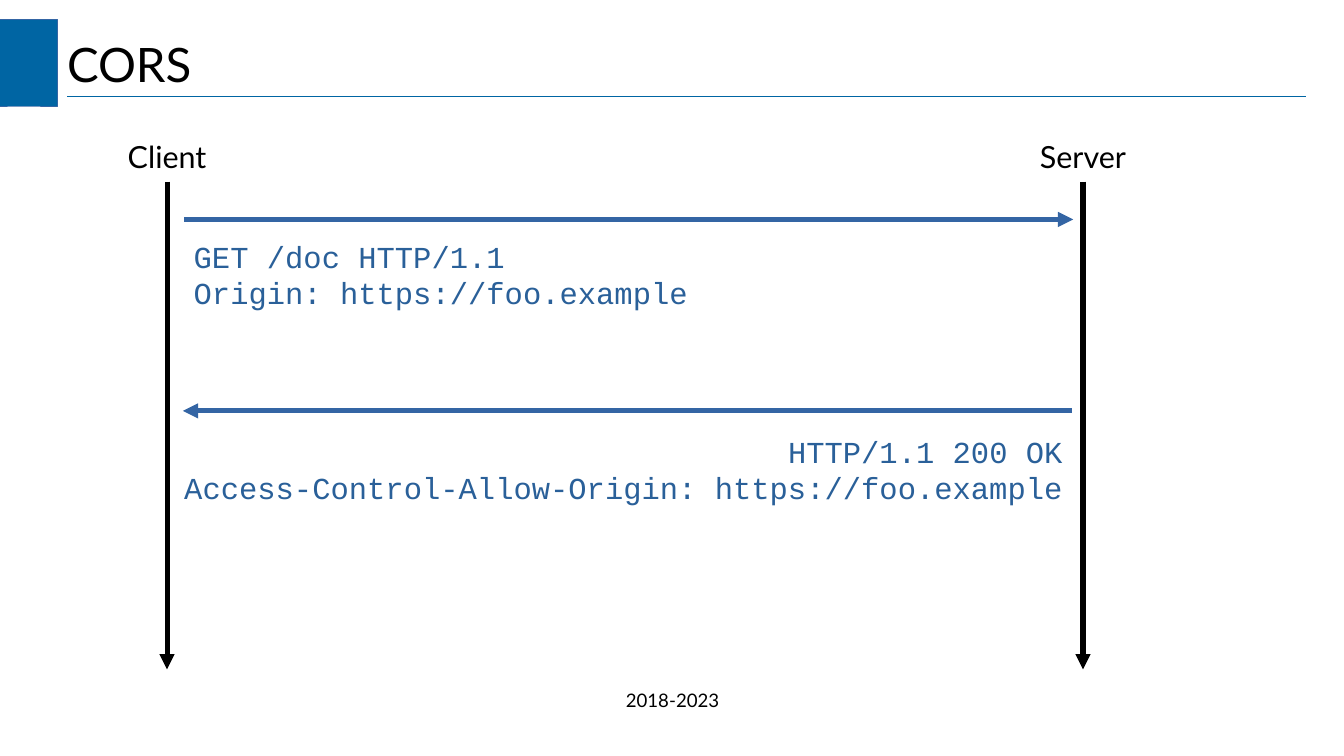
from lxml import etree
from pptx import Presentation
from pptx.dml.color import RGBColor
from pptx.enum.shapes import MSO_CONNECTOR, MSO_SHAPE
from pptx.enum.text import MSO_ANCHOR, PP_ALIGN
from pptx.oxml.ns import qn
from pptx.util import Inches, Pt

STRAIGHT = MSO_CONNECTOR.STRAIGHT
RECTANGLE = MSO_SHAPE.RECTANGLE
TOP, MIDDLE = MSO_ANCHOR.TOP, MSO_ANCHOR.MIDDLE
LEFT, CENTER, RIGHT = PP_ALIGN.LEFT, PP_ALIGN.CENTER, PP_ALIGN.RIGHT

BLACK = RGBColor(0x00, 0x00, 0x00)
ACCENT = RGBColor(0x00, 0x65, 0xA3)
ARROW_BLUE = RGBColor(0x34, 0x65, 0xA4)
CODE_BLUE = RGBColor(0x2A, 0x60, 0x99)
SANS, MONO = "Lato", "Courier New"

HAIRLINE = 0.1
LIFELINE_TOP, LIFELINE_BOTTOM = 1.49, 5.49
LABEL_WIDTH = 1


class SequencePage:
    def __init__(self, deck):
        self.page = deck.slides.add_slide(deck.slide_layouts[5])

    def fill_text(self, box, lines, size, font=SANS, color=BLACK,
                  align=LEFT, anchor=TOP, insets=(0, 0), wrap=True):
        frame = box.text_frame
        frame.word_wrap = wrap
        frame.vertical_anchor = anchor
        frame.margin_left = frame.margin_right = Inches(insets[0])
        frame.margin_top = frame.margin_bottom = Inches(insets[1])
        frame.text = "\n".join(lines)
        for para in frame.paragraphs:
            para.alignment = align
            para.font.name = font
            para.font.size = Pt(size)
            para.font.color.rgb = color

    def title(self, text, left, top, width, height):
        box = self.page.shapes.title
        box.left, box.top = Inches(left), Inches(top)
        box.width, box.height = Inches(width), Inches(height)
        self.fill_text(box, [text], 28, anchor=MIDDLE)

    def text(self, lines, left, top, width, height, size=18, **style):
        box = self.page.shapes.add_textbox(
            Inches(left), Inches(top), Inches(width), Inches(height))
        self.fill_text(box, lines, size, **style)

    def block(self, left, top, width, height):
        box = self.page.shapes.add_shape(
            RECTANGLE, Inches(left), Inches(top), Inches(width), Inches(height))
        box.shadow.inherit = False
        box.fill.solid()
        box.fill.fore_color.rgb = ACCENT
        box.line.color.rgb = ARROW_BLUE
        box.line.width = Pt(HAIRLINE)

    def line(self, start, end, color, width=3, arrow=True):
        connector = self.page.shapes.add_connector(
            STRAIGHT, *(Inches(value) for value in (*start, *end)))
        connector.line.color.rgb = color
        connector.line.width = Pt(width)
        if arrow:
            etree.SubElement(connector.line._get_or_add_ln(),
                             qn("a:tailEnd"), type="triangle")
        etree.SubElement(connector._element.spPr, qn("a:effectLst"))

    def lifeline(self, name, x):
        self.text([name], x - LABEL_WIDTH / 2, 1.08, LABEL_WIDTH, 0.4,
                  align=CENTER, insets=(0, 0.05))
        self.line((x, LIFELINE_TOP), (x, LIFELINE_BOTTOM), BLACK)

    def message(self, lines, start_x, end_x, y, left, top, width, align):
        self.line((start_x, y), (end_x, y), ARROW_BLUE)
        self.text(lines, left, top, width, 0.68, font=MONO, color=CODE_BLUE,
                  align=align, insets=(0.1, 0.05), wrap=False)


def main():
    deck = Presentation()
    deck.slide_width, deck.slide_height = Inches(11.02), Inches(6.2)

    page = SequencePage(deck)
    page.block(-0.08, 0.16, 0.55, 0.71)
    page.line((0.55, 0.79), (10.71, 0.79), ACCENT, width=HAIRLINE, arrow=False)
    page.title("CORS", 0.55, 0.25, 9.92, 0.54)

    page.lifeline("Client", 1.37)
    page.lifeline("Server", 8.88)

    page.message(["GET /doc HTTP/1.1", "Origin: https://foo.example"],
                 1.51, 8.8, 1.8, 1.49, 1.9, 4.26, LEFT)
    page.message(["HTTP/1.1 200 OK",
                  "Access-Control-Allow-Origin: https://foo.example"],
                 8.79, 1.5, 3.37, 1.39, 3.5, 7.42, RIGHT)

    page.text(["2018-2023"], 3.77, 5.65, 3.49, 0.43, size=11, align=CENTER)
    deck.save("out.pptx")


if __name__ == "__main__":
    main()
